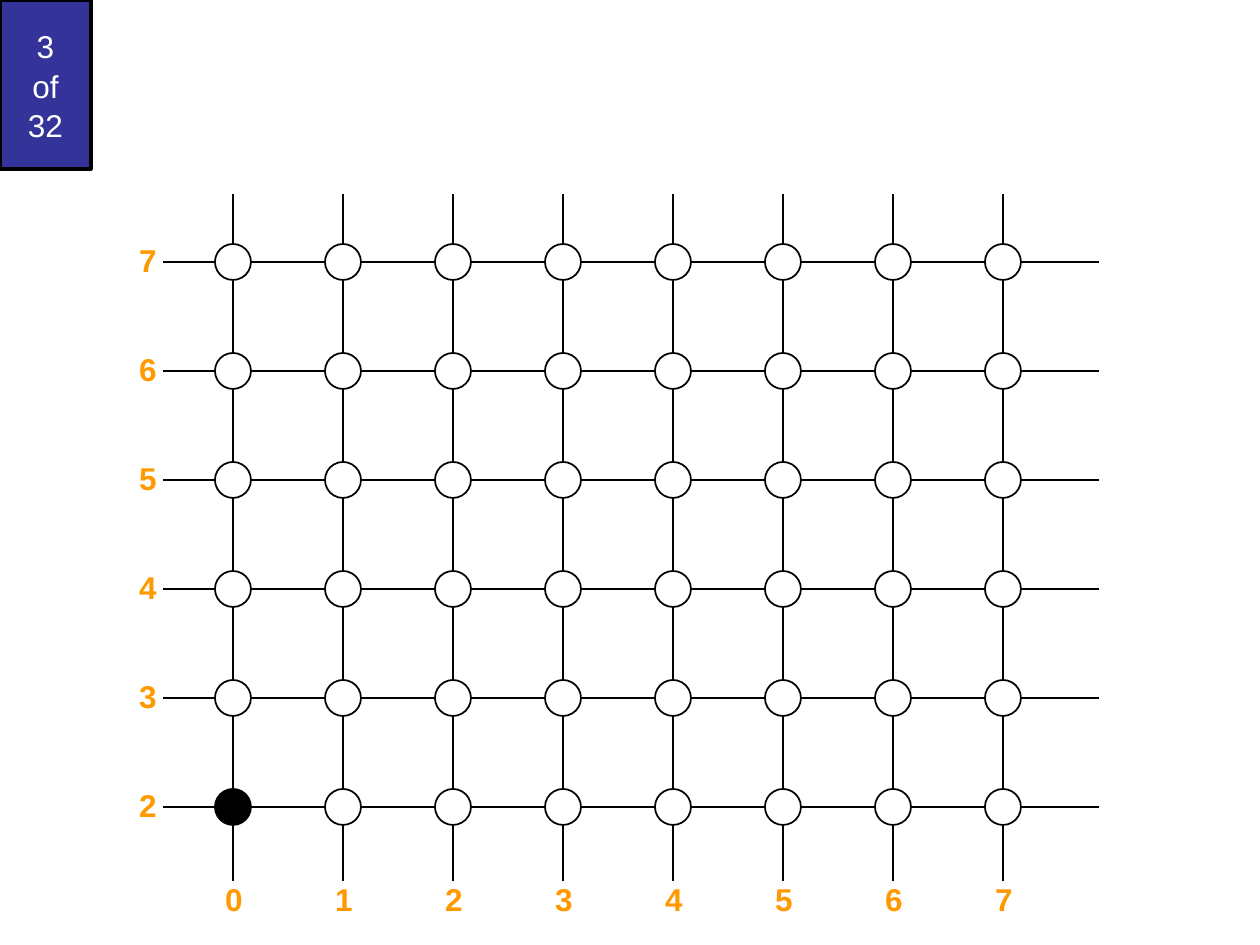
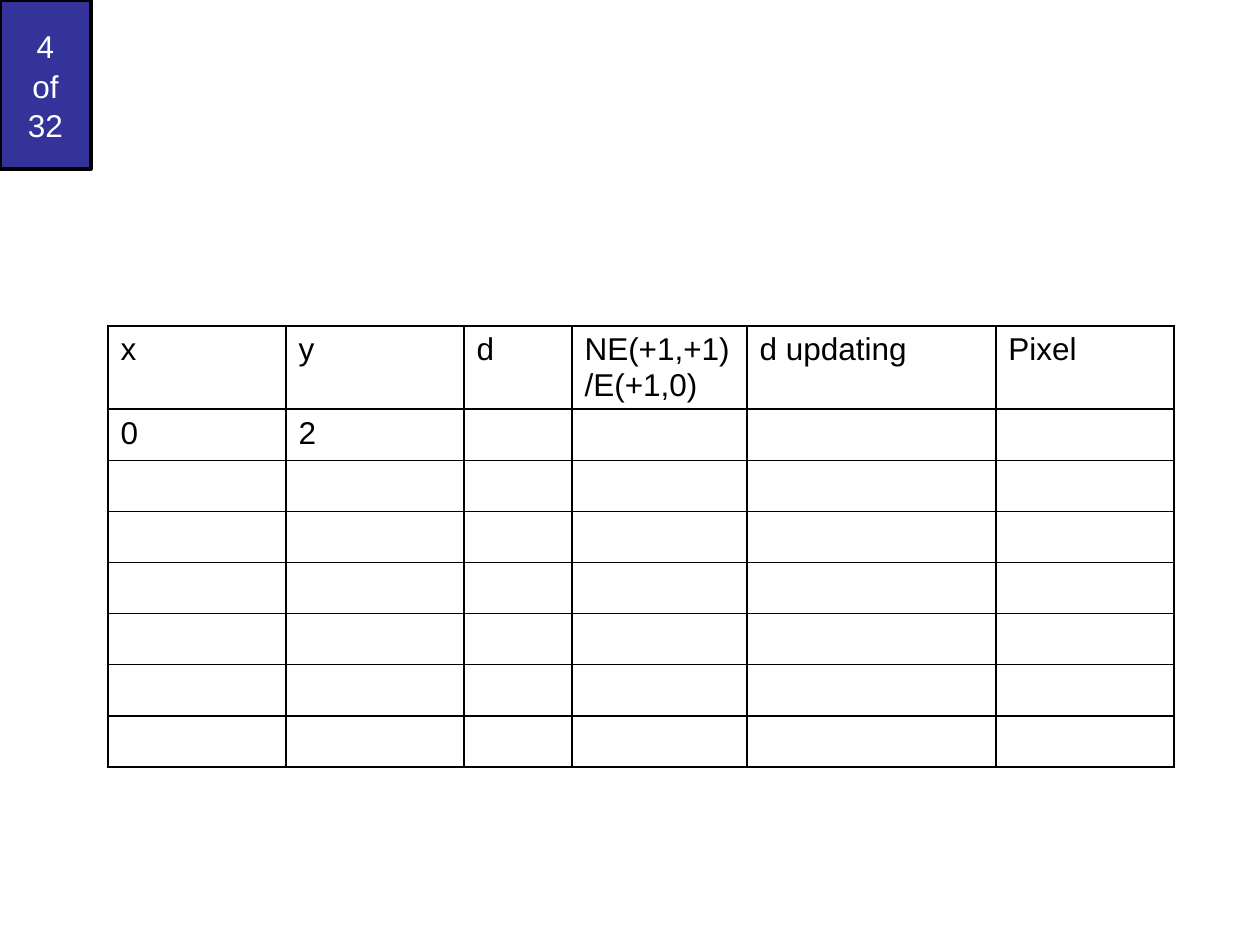
"""Build the pixel-grid slide and its tracing table slide."""
from itertools import accumulate, product

from pptx import Presentation
from pptx.dml.color import RGBColor
from pptx.enum.shapes import MSO_CONNECTOR as CONNECTOR, MSO_SHAPE as SHAPE
from pptx.enum.text import MSO_ANCHOR as ANCHOR, PP_ALIGN as ALIGN
from pptx.oxml import parse_xml
from pptx.oxml.ns import nsdecls
from pptx.util import Pt

SLIDE_TOTAL = 32
GRID_SLIDE, TABLE_SLIDE = 3, 4
X_VALUES = range(8)
Y_VALUES = range(7, 1, -1)
START_PIXEL = (0, 2)
HEADINGS = ["x", "y", "d", "NE(+1,+1)/E(+1,0)", "d updating", "Pixel"]
FIRST_STEP = ["0", "2", "", "", "", ""]
EMPTY_STEPS = 6
TRACE = [HEADINGS, FIRST_STEP] + [[""] * len(HEADINGS)] * EMPTY_STEPS

BLACK = RGBColor(0x00, 0x00, 0x00)
WHITE = RGBColor(0xFF, 0xFF, 0xFF)
NAVY = RGBColor(0x33, 0x33, 0x99)
ORANGE = RGBColor(0xFF, 0x99, 0x00)
FONT = "Arial"
TEXT_SIZE = Pt(18)

PX = 914400 / 126
SLIDE_SIZE = (1260, 945)
BADGE_BOX = (0, 0, 91, 169)
GRID_X, GRID_Y = 233, 262
STEP_X, STEP_Y = 110, 109
GRID_LEFT, GRID_RIGHT = 163, 1099
GRID_TOP, GRID_BOTTOM = 194, 881
PIXEL_SIZE = 36
LABEL_W, LABEL_H = 43, 50
Y_LABEL_LEFT, X_LABEL_TOP = 126, 874
TABLE_LEFT, TABLE_TOP = 108, 326
COLUMN_WIDTHS = [178, 178, 108, 175, 249, 178]
ROW_HEIGHTS = [83] + [51] * (len(TRACE) - 1)


def emu(*lengths):
    return [round(length * PX) for length in lengths]


def style_text(frame, color, align=ALIGN.LEFT, bold=False):
    for paragraph in frame.paragraphs:
        paragraph.alignment = align
        paragraph.font.size = TEXT_SIZE
        for run in paragraph.runs:
            run.font.name, run.font.size = FONT, TEXT_SIZE
            run.font.bold, run.font.color.rgb = bold, color


def add_filled(slide, kind, box, fill, line_width):
    shape = slide.shapes.add_shape(kind, *emu(*box))
    shape.shadow.inherit = False
    shape.fill.solid()
    shape.fill.fore_color.rgb = fill
    shape.line.color.rgb = BLACK
    shape.line.width = Pt(line_width)
    return shape


def add_numbered_slide(deck, number):
    slide = deck.slides.add_slide(deck.slide_layouts[6])
    badge = add_filled(slide, SHAPE.RECTANGLE, BADGE_BOX, NAVY, 2).text_frame
    badge.text = f"{number}\vof\v{SLIDE_TOTAL}"
    badge.vertical_anchor = ANCHOR.MIDDLE
    badge.paragraphs[0].line_spacing = 1.05
    style_text(badge, WHITE, ALIGN.CENTER)
    return slide


def add_grid_line(slide, *ends):
    line = slide.shapes.add_connector(CONNECTOR.STRAIGHT, *emu(*ends))
    line.line.color.rgb = BLACK
    line.line.width = Pt(1)
    line._element.spPr.append(parse_xml(f"<a:effectLst {nsdecls('a')}/>"))


def add_axis_label(slide, value, left, top):
    label = slide.shapes.add_textbox(*emu(left, top, LABEL_W, LABEL_H)).text_frame
    label.text = str(value)
    label.word_wrap = False
    style_text(label, ORANGE, ALIGN.RIGHT, bold=True)


def add_pixel_grid(slide):
    columns = {x: GRID_X + i * STEP_X for i, x in enumerate(X_VALUES)}
    rows = {y: GRID_Y + i * STEP_Y for i, y in enumerate(Y_VALUES)}
    for y, top in rows.items():
        add_grid_line(slide, GRID_RIGHT, top, GRID_LEFT, top)
        add_axis_label(slide, y, Y_LABEL_LEFT, top - 27)
    for x, left in columns.items():
        add_grid_line(slide, left, GRID_TOP, left, GRID_BOTTOM)
        add_axis_label(slide, x, left - LABEL_W // 2, X_LABEL_TOP)
    for y, x in product(rows, columns):
        box = (columns[x] - PIXEL_SIZE / 2, rows[y] - PIXEL_SIZE / 2, PIXEL_SIZE, PIXEL_SIZE)
        add_filled(slide, SHAPE.OVAL, box, BLACK if (x, y) == START_PIXEL else WHITE, 1)


def add_borders(cell):
    properties = cell._tc.get_or_add_tcPr()
    for side in ("lnL", "lnR", "lnT", "lnB"):
        properties.append(parse_xml(
            f'<a:{side} {nsdecls("a")} w="{Pt(1)}"><a:solidFill>'
            f'<a:srgbClr val="{BLACK}"/></a:solidFill></a:{side}>'))


def add_trace_table(slide):
    box = emu(TABLE_LEFT, TABLE_TOP, sum(COLUMN_WIDTHS), sum(ROW_HEIGHTS))
    table = slide.shapes.add_table(len(TRACE), len(HEADINGS), *box).table
    table.first_row = table.horz_banding = False
    for sizes, parts, side in ((COLUMN_WIDTHS, table.columns, "width"),
                               (ROW_HEIGHTS, table.rows, "height")):
        edges = emu(0, *accumulate(sizes))
        for part, start, end in zip(parts, edges, edges[1:]):
            setattr(part, side, end - start)
    for row, step in zip(table.rows, TRACE):
        for cell, value in zip(row.cells, step):
            cell.text_frame.text = value
            style_text(cell.text_frame, BLACK)
            add_borders(cell)
            cell.fill.background()


def main():
    deck = Presentation()
    deck.slide_width, deck.slide_height = emu(*SLIDE_SIZE)
    add_pixel_grid(add_numbered_slide(deck, GRID_SLIDE))
    add_trace_table(add_numbered_slide(deck, TABLE_SLIDE))
    deck.save("out.pptx")


if __name__ == "__main__":
    main()
